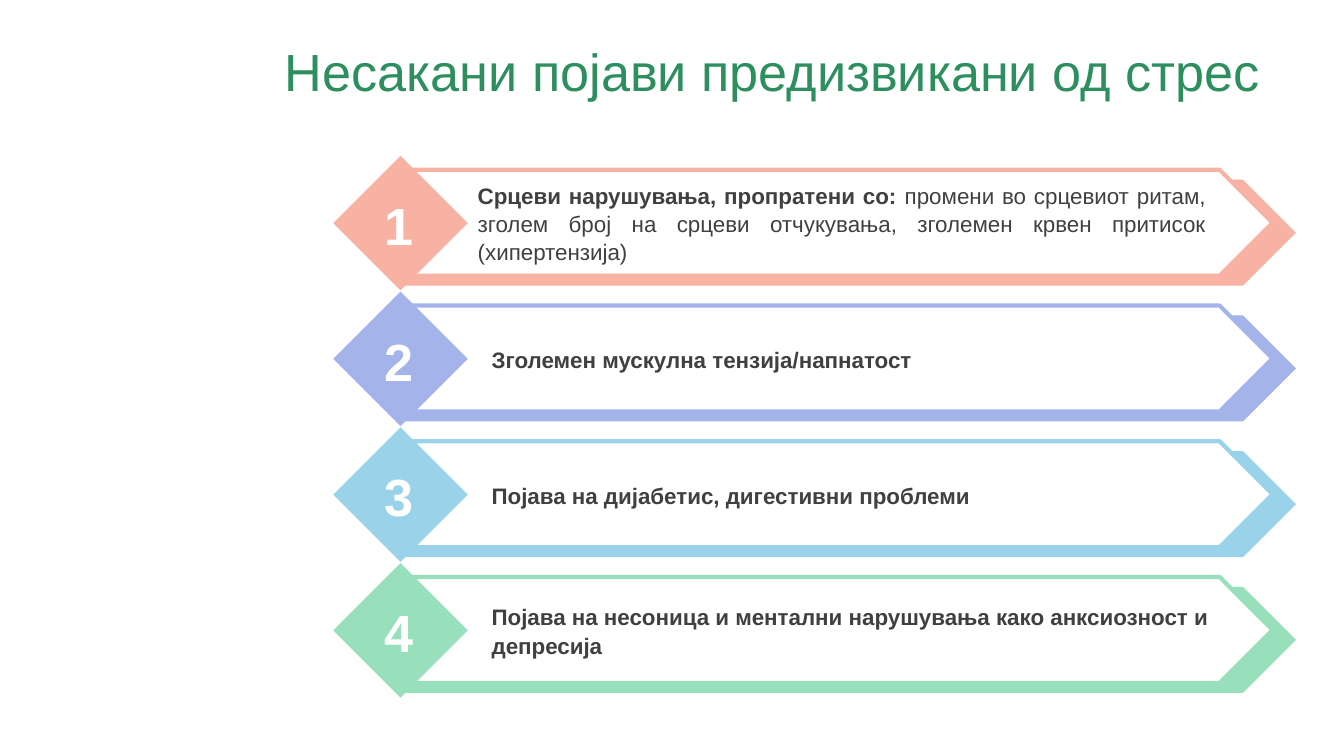
from dataclasses import dataclass

from pptx import Presentation
from pptx.dml.color import RGBColor
from pptx.enum.shapes import MSO_SHAPE
from pptx.enum.text import MSO_ANCHOR, PP_ALIGN
from pptx.shapes.autoshape import Shape
from pptx.slide import Slide
from pptx.text.text import _Paragraph
from pptx.util import Cm, Pt

PLATE = MSO_SHAPE.PENTAGON
DIAMOND = MSO_SHAPE.DIAMOND
MIDDLE = MSO_ANCHOR.MIDDLE
LEFT = PP_ALIGN.LEFT
CENTER = PP_ALIGN.CENTER
JUSTIFY = PP_ALIGN.JUSTIFY

WHITE = "FFFFFF"
GREEN = "2C8F5D"
GRAY = "404040"
BIG = 37.3
SMALL = 16
TOP = 3.93
PITCH = 3.42
SIDE = 3.39
LINE = 0.69
INSET = 0.25


@dataclass
class Box:
    left: float
    top: float
    width: float
    height: float


@dataclass
class Row:
    hue: str
    bold: str
    plain: str = ""
    left: float = 12.14
    width: float = 17.6
    lines: int = 1
    align: PP_ALIGN = LEFT


ROWS = [
    Row("F8B2A3", "Срцеви нарушувања, пропратени со: ",
        "промени во срцевиот ритам, зголем број на срцеви отчукувања, "
        "зголемен крвен притисок (хипертензија)",
        left=11.79, width=18.85, lines=3, align=JUSTIFY),
    Row("A4B4EA", "Зголемен мускулна тензија/напнатост"),
    Row("9AD3E9", "Појава на дијабетис, дигестивни проблеми"),
    Row("98DFBB", "Појава на несоница и ментални нарушувања како анксиозност и депресија",
        width=19.53, lines=2),
]


def color(code: str) -> RGBColor:
    return RGBColor.from_string(code)


def place(box: Box) -> tuple[Cm, Cm, Cm, Cm]:
    return Cm(box.left), Cm(box.top), Cm(box.width), Cm(box.height)


def add_form(slide: Slide, kind: MSO_SHAPE, box: Box, fill: str, edge: str = "") -> Shape:
    shape = slide.shapes.add_shape(kind, *place(box))
    shape.shadow.inherit = False
    shape.fill.solid()
    shape.fill.fore_color.rgb = color(fill)
    if edge:
        shape.line.color.rgb = color(edge)
        shape.line.width = Pt(3)
    else:
        shape.line.fill.background()
    return shape


def add_text(slide: Slide, box: Box, text: str, size: float, hue: str,
             align: PP_ALIGN = CENTER) -> _Paragraph:
    frame = slide.shapes.add_textbox(*place(box)).text_frame
    frame.word_wrap = True
    frame.vertical_anchor = MIDDLE
    para = frame.paragraphs[0]
    para.alignment = align
    para.font.name = "Arial"
    para.font.size = Pt(size)
    para.font.color.rgb = color(hue)
    para.add_run().text = text
    return para


def add_row(slide: Slide, index: int, row: Row) -> None:
    top = TOP + index * PITCH
    add_form(slide, PLATE, Box(10.18, top + 0.6, 22.48, 2.67), row.hue)
    add_form(slide, PLATE, Box(10.18, top + 0.35, 21.89, 2.67), WHITE, row.hue)
    add_form(slide, DIAMOND, Box(8.4, top, SIDE, SIDE), row.hue)

    digit = add_text(slide, Box(9.3, top + 0.8, 1.5, 1.85), str(index + 1), BIG, WHITE)
    digit.font.bold = True

    height = row.lines * LINE + INSET
    box = Box(row.left, top + (SIDE - height) / 2, row.width, height)
    para = add_text(slide, box, row.bold, SMALL, GRAY, row.align)
    para.line_spacing = 1.05
    para.runs[0].font.bold = True
    if row.plain:
        para.add_run().text = row.plain


def main() -> None:
    deck = Presentation()
    deck.slide_width = Cm(33.87)
    deck.slide_height = Cm(19.05)
    slide = deck.slides.add_slide(deck.slide_layouts[6])
    add_text(slide, Box(2.54, 0.71, 33.87, 2.13),
             "Несакани појави предизвикани од стрес", BIG, GREEN)
    for index, row in enumerate(ROWS):
        add_row(slide, index, row)
    deck.save("out.pptx")


if __name__ == "__main__":
    main()
